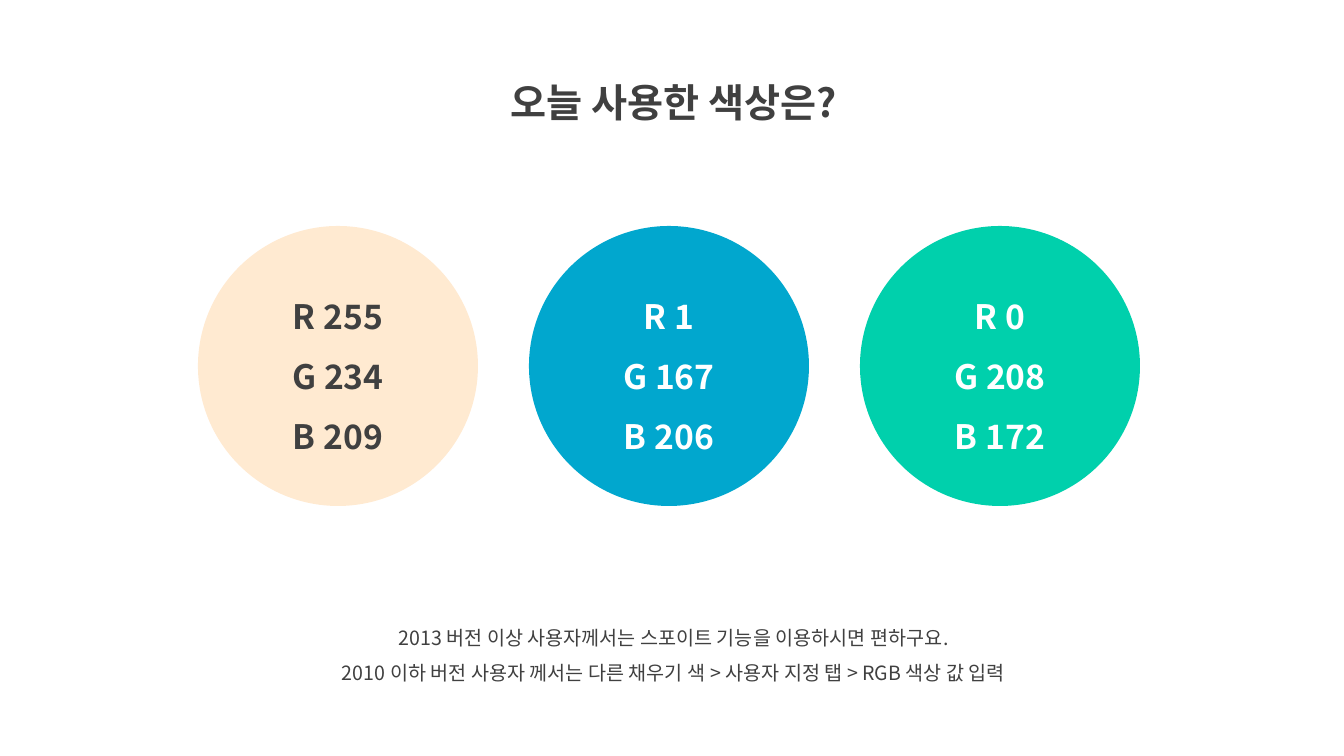
from lxml import etree
from pptx import Presentation
from pptx.dml.color import RGBColor
from pptx.enum.shapes import MSO_SHAPE
from pptx.enum.text import MSO_ANCHOR, MSO_AUTO_SIZE, PP_ALIGN
from pptx.oxml.ns import qn
from pptx.util import Emu, Pt

OVAL = MSO_SHAPE.OVAL
TOP, MIDDLE = MSO_ANCHOR.TOP, MSO_ANCHOR.MIDDLE
GROW, FIXED = MSO_AUTO_SIZE.SHAPE_TO_FIT_TEXT, MSO_AUTO_SIZE.NONE
CENTER = PP_ALIGN.CENTER

FONT = "Noto Sans CJK KR"
DARK, WHITE = "404040", "FFFFFF"
SLIDE_SIZE = (1344, 756)

TITLE = "오늘 사용한 색상은?"
TITLE_BOX = (440, 50, 467, 73)
NOTES = [
    "2013 버전 이상 사용자께서는 스포이트 기능을 이용하시면 편하구요.",
    "2010 이하 버전 사용자 께서는 다른 채우기 색 > 사용자 지정 탭 > RGB 색상 값 입력",
]
NOTES_BOX = (271, 609, 805, 82)
SWATCHES = [
    ((255, 234, 209), DARK),
    ((1, 167, 206), WHITE),
    ((0, 208, 172), WHITE),
]
SWATCH_LEFT, SWATCH_TOP, SWATCH_SIZE, SWATCH_PITCH = 198, 226, 280, 331

TITLE_FORMAT = {"size": Pt(28), "bold": True}
NOTES_FORMAT = {"size": Pt(14), "bold": False}
SWATCH_FORMAT = {"size": Pt(24), "bold": True}


def px(length):
    return Emu(round(length * 914400 / 100.8))


def color(value):
    return RGBColor.from_string(value)


def place(shape, box):
    for name, length in zip(("left", "top", "width", "height"), box):
        setattr(shape, name, px(length))


def write(shape, lines, font_format, font_color, anchor, auto_size):
    frame = shape.text_frame
    frame.text = "\n".join(lines)
    frame_format = {"word_wrap": True, "vertical_anchor": anchor, "auto_size": auto_size}
    for name, value in frame_format.items():
        setattr(frame, name, value)
    for para in frame.paragraphs:
        para.alignment = CENTER
        para.line_spacing = 1.5
        for span in para.runs:
            for name, value in {**font_format, "name": FONT}.items():
                setattr(span.font, name, value)
            span.font.color.rgb = color(font_color)
            properties = span._r.get_or_add_rPr()
            etree.SubElement(properties, qn("a:ea"), typeface=FONT)


def add_swatch(page, index, channels, font_color):
    left = SWATCH_LEFT + index * SWATCH_PITCH
    box = (left, SWATCH_TOP, SWATCH_SIZE, SWATCH_SIZE)
    circle = page.shapes.add_shape(OVAL, *map(px, box))
    circle.shadow.inherit = False
    circle.fill.solid()
    circle.fill.fore_color.rgb = color("%02X%02X%02X" % channels)
    circle.line.fill.background()
    lines = [f"{letter} {value}" for letter, value in zip("RGB", channels)]
    write(circle, lines, SWATCH_FORMAT, font_color, MIDDLE, FIXED)


def main():
    deck = Presentation()
    deck.slide_width, deck.slide_height = map(px, SLIDE_SIZE)
    page = deck.slides.add_slide(deck.slide_layouts[5])

    title = page.shapes.title
    place(title, TITLE_BOX)
    write(title, [TITLE], TITLE_FORMAT, DARK, TOP, GROW)

    notes = page.shapes.add_textbox(*map(px, NOTES_BOX))
    write(notes, NOTES, NOTES_FORMAT, DARK, TOP, GROW)

    for index, (channels, font_color) in reversed(list(enumerate(SWATCHES))):
        add_swatch(page, index, channels, font_color)

    deck.save("out.pptx")


if __name__ == "__main__":
    main()
